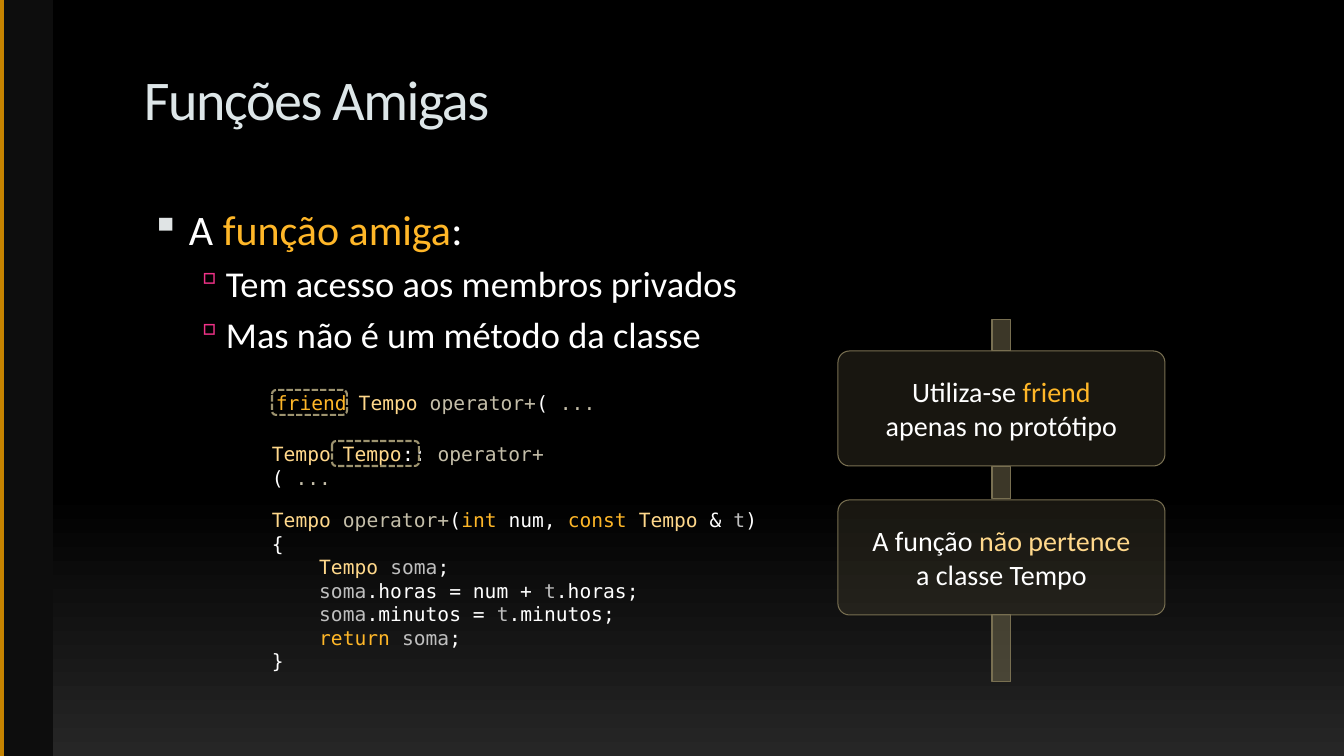
from dataclasses import dataclass

import pptx
import pptx.dml.color
import pptx.enum.dml
import pptx.enum.shapes
import pptx.enum.text
import pptx.oxml
import pptx.oxml.ns
import pptx.util
from pptx.dml.color import RGBColor

SCALE = 914400 / 100.8
SANS = "Calibri"
MONO = "DejaVu Sans Mono"

BLACK = RGBColor(0x00, 0x00, 0x00)
GREY = RGBColor(0x26, 0x26, 0x26)
SIDE = RGBColor(0x0D, 0x0D, 0x0D)
EDGE = RGBColor(0xC5, 0x83, 0x00)
PALE = RGBColor(0xDD, 0xE6, 0xE8)
MARK = RGBColor(0xE0, 0xE4, 0xE5)
PINK = RGBColor(0xF0, 0x32, 0x88)
WHITE = RGBColor(0xFF, 0xFF, 0xFF)
GOLD = RGBColor(0xFF, 0xB7, 0x28)
SAND = RGBColor(0xFF, 0xD8, 0x8B)
STONE = RGBColor(0xC4, 0xBE, 0xA9)
SILVER = RGBColor(0xBF, 0xBF, 0xBF)
DASH = RGBColor(0x9D, 0x93, 0x6F)
OLIVE = RGBColor(0x50, 0x4A, 0x36)
BRONZE = RGBColor(0x78, 0x6F, 0x51)

RECT = pptx.enum.shapes.MSO_SHAPE.RECTANGLE
ROUND = pptx.enum.shapes.MSO_SHAPE.ROUNDED_RECTANGLE
CENTER = pptx.enum.text.PP_ALIGN.CENTER

Bit = tuple[str, RGBColor]
Line = list[Bit]


@dataclass(frozen=True)
class Box:
    x: int
    y: int
    w: int
    h: int

    def emu(self) -> list[int]:
        return [px(n) for n in (self.x, self.y, self.w, self.h)]


@dataclass(frozen=True)
class Code:
    box: Box
    lines: list[Line]


@dataclass(frozen=True)
class Card:
    box: Box
    line: Line


@dataclass(frozen=True)
class Bullet:
    sign: str
    color: RGBColor
    size: int
    left: int
    hang: int
    text: int
    gap: int
    line: Line


def px(count: int) -> int:
    return round(count * SCALE)


def node(parent, tag: str, **attrs: str):
    child = pptx.oxml.parse_xml(f"<a:{tag} {pptx.oxml.ns.nsdecls('a')}/>")
    for key, value in attrs.items():
        child.set(key, value)
    parent.append(child)
    return child


def add_runs(para, line: Line, size: int, face: str) -> None:
    for text, color in line:
        for index, part in enumerate(text.split("\n")):
            if index:
                para.add_line_break()
            if part:
                run = para.add_run()
                run.text = part
                run.font.size = pptx.util.Pt(size)
                run.font.name = face
                run.font.color.rgb = color


def add_text(slide, box: Box, top: int = 5):
    frame = slide.shapes.add_textbox(*box.emu()).text_frame
    frame.word_wrap = True
    frame.margin_top = px(top)
    return frame


def add_code(slide, code: Code) -> None:
    frame = add_text(slide, code.box)
    for index, line in enumerate(code.lines):
        para = frame.add_paragraph() if index else frame.paragraphs[0]
        add_runs(para, line, 14, MONO)


def add_bullet(para, item: Bullet) -> None:
    props = para._p.get_or_add_pPr()
    props.set("marL", str(px(item.left)))
    props.set("indent", str(-px(item.hang)))
    if item.gap:
        para.space_before = pptx.util.Pt(item.gap)
    tint = node(props, "buClr")
    node(tint, "srgbClr", val=str(item.color))
    node(props, "buSzPct", val=str(item.size * 1000))
    node(props, "buChar", char=item.sign)
    add_runs(para, item.line, item.text, SANS)


def add_block(slide, kind, box: Box, fill: RGBColor | None,
              edge: RGBColor | None, alpha: int = 100, width: float = 0.75):
    shape = slide.shapes.add_shape(kind, *box.emu())
    shape.shadow.inherit = False
    if fill is None:
        shape.fill.background()
    else:
        shape.fill.solid()
        shape.fill.fore_color.rgb = fill
        if alpha < 100:
            tint = shape._element.spPr.find(".//" + pptx.oxml.ns.qn("a:srgbClr"))
            node(tint, "alpha", val=str(alpha * 1000))
    if edge is None:
        shape.line.fill.background()
    else:
        shape.line.color.rgb = edge
        shape.line.width = pptx.util.Pt(width)
    return shape


def add_card(slide, card: Card) -> None:
    shape = add_block(slide, ROUND, card.box, OLIVE, BRONZE, 30)
    shape.adjustments[0] = 0.1
    frame = shape.text_frame
    frame.word_wrap = True
    frame.vertical_anchor = pptx.enum.text.MSO_ANCHOR.MIDDLE
    para = frame.paragraphs[0]
    para.alignment = CENTER
    add_runs(para, card.line, 20, SANS)


def add_frame(slide) -> None:
    back = slide.background.fill
    back.gradient()
    back.gradient_angle = 270
    for stop, place, color in zip(back.gradient_stops, (0.65, 1), (BLACK, GREY)):
        stop.position = place
        stop.color.rgb = color
    add_block(slide, RECT, Box(0, 0, 53, 756), SIDE, None)
    edge = slide.shapes.add_connector(
        pptx.enum.shapes.MSO_CONNECTOR.STRAIGHT, px(2), 0, px(2), px(756))
    edge.line.color.rgb = EDGE
    edge.line.width = pptx.util.Pt(3)
    node(edge._element.spPr, "effectLst")


TITLE = Box(134, 56, 959, 101)
BODY = Box(134, 197, 1142, 504)
POINTS = [
    Bullet("▪", MARK, 95, 45, 38, 30, 0,
           [("A ", WHITE), ("função amiga", GOLD), (":", WHITE)]),
] + [
    Bullet("▫", PINK, 90, 82, 31, 26, 5, [(text, WHITE)])
    for text in ("Tem acesso aos membros privados", "Mas não é um método da classe")
]
CODES = [
    Code(Box(262, 503, 523, 176), [
        [("Tempo ", SAND), ("operator+", STONE), ("(", WHITE), ("int", GOLD),
         (" num, ", WHITE), ("const ", GOLD), ("Tempo", SAND), (" & ", WHITE),
         ("t", SILVER), (")", WHITE)],
        [("{", WHITE)],
        [("    Tempo ", SAND), ("soma", SILVER), (";", WHITE)],
        [("    soma", SILVER), (".horas = num + ", WHITE), ("t", SILVER),
         (".horas;", WHITE)],
        [("    soma", SILVER), (".minutos = ", WHITE), ("t", SILVER),
         (".minutos;", WHITE)],
        [("    return ", GOLD), ("soma", SILVER), (";", WHITE)],
        [("}", WHITE)],
    ]),
    Code(Box(266, 386, 341, 34), [
        [("friend", GOLD), (" Tempo ", SAND), ("operator+", STONE),
         ("( ", WHITE), ("...", STONE)]]),
    Code(Box(262, 437, 327, 34), [
        [("Tempo Tempo", SAND), (":: ", WHITE), ("operator+", STONE),
         ("( ", WHITE), ("...", STONE)]]),
]
TAGS = [Box(272, 390, 75, 25), Box(332, 441, 87, 25)]
CARDS = [
    Card(Box(838, 351, 327, 115),
         [("Utiliza-se ", WHITE), ("friend", GOLD), ("\napenas no protótipo", WHITE)]),
    Card(Box(838, 500, 327, 115),
         [("A função ", WHITE), ("não pertence", SAND), ("\na classe Tempo", WHITE)]),
]
RAILS = [Box(992, y, 19, h) for y, h in ((320, 31), (467, 32), (615, 67))]


def main() -> None:
    deck = pptx.Presentation()
    deck.slide_width, deck.slide_height = px(1344), px(756)
    slide = deck.slides.add_slide(deck.slide_layouts[6])
    add_frame(slide)

    para = add_text(slide, TITLE, 9).paragraphs[0]
    add_runs(para, [("Funções Amigas", PALE)], 40, SANS)
    para.runs[0].font._element.set("spc", "-100")

    frame = add_text(slide, BODY, 7)
    for index, item in enumerate(POINTS):
        add_bullet(frame.add_paragraph() if index else frame.paragraphs[0], item)
    for code in CODES:
        add_code(slide, code)
    for box in TAGS:
        tag = add_block(slide, ROUND, box, None, DASH, width=1.5)
        tag.line.dash_style = pptx.enum.dml.MSO_LINE.SQUARE_DOT
    for card in CARDS:
        add_card(slide, card)
    for box in RAILS:
        add_block(slide, RECT, box, BRONZE, BRONZE, 50)
    deck.save("out.pptx")


if __name__ == "__main__":
    main()
